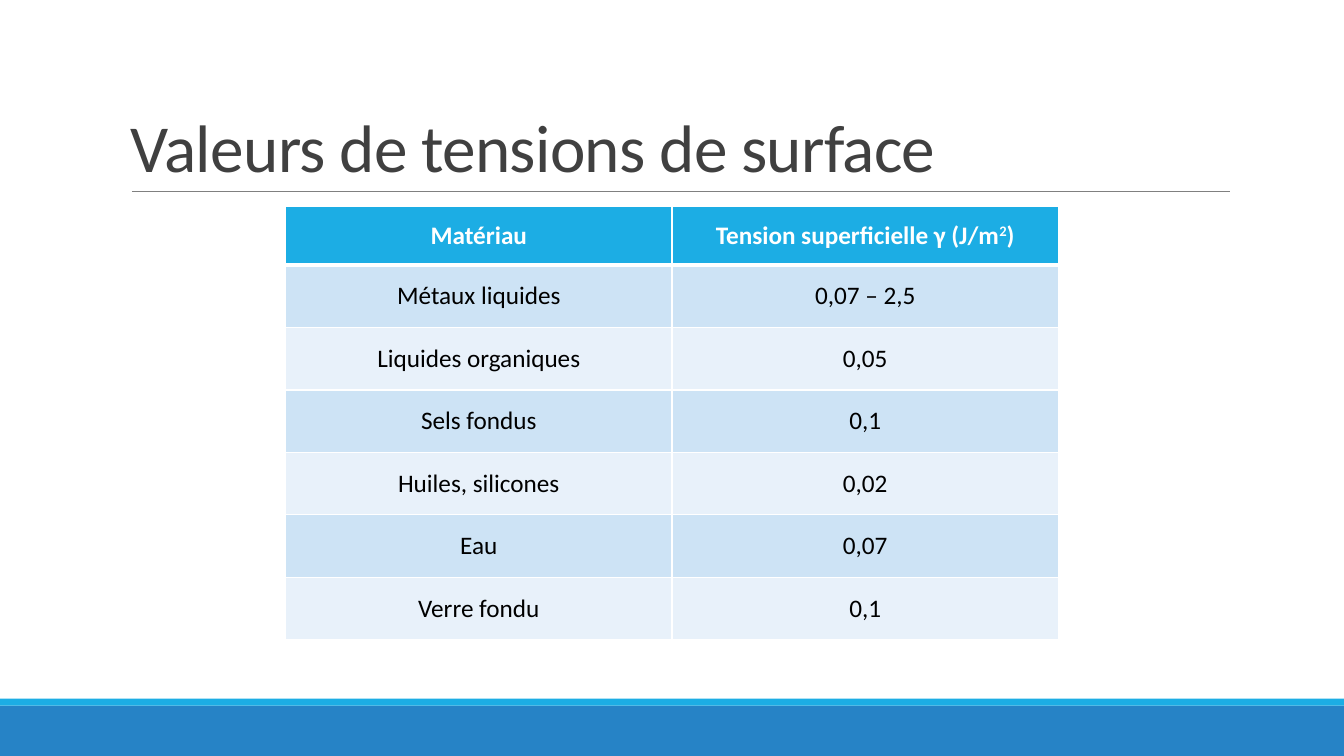
from dataclasses import dataclass

from pptx import Presentation
from pptx.dml.color import RGBColor
from pptx.enum.shapes import MSO_CONNECTOR, MSO_SHAPE
from pptx.enum.text import MSO_ANCHOR, PP_ALIGN
from pptx.oxml.ns import qn
from pptx.util import Inches, Pt
from lxml import etree

RECT = MSO_SHAPE.RECTANGLE
LINE = MSO_CONNECTOR.STRAIGHT
MIDDLE, BOTTOM = MSO_ANCHOR.MIDDLE, MSO_ANCHOR.BOTTOM
CENTER = PP_ALIGN.CENTER
WIDE, HIGH = Inches(13.33), Inches(7.5)


@dataclass(frozen=True)
class Theme:
    font: str = "Calibri"
    title: int = 48
    body: int = 18
    ink: str = "404040"
    text: str = "000000"
    white: str = "FFFFFF"
    rule: str = "808080"
    blue: str = "2683C6"
    sky: str = "1CADE4"
    bands: tuple = ("CDE3F5", "E8F1FA")


def rgb(code):
    return RGBColor.from_string(code)


def px(share):
    """Percent of the slide's width."""
    return round(WIDE * share / 100)


def py(share):
    """Percent of the slide's height."""
    return round(HIGH * share / 100)


def area(left, top, width, height):
    return px(left), py(top), px(width), py(height)


class Deck:
    def __init__(self, theme):
        self.theme = theme
        self.file = Presentation()
        self.file.slide_width, self.file.slide_height = WIDE, HIGH
        self.slide = self.file.slides.add_slide(self.file.slide_layouts[6])
        self.shapes = self.slide.shapes

    def label(self, para, text, size, color, bold=False):
        """Add a run and return it."""
        run = para.add_run()
        run.text = text
        style = {"name": self.theme.font, "size": Pt(size), "bold": bold}
        for key, value in style.items():
            setattr(run.font, key, value)
        run.font.color.rgb = rgb(color)
        return run

    def band(self, place, color):
        shape = self.shapes.add_shape(RECT, *area(*place))
        shape.shadow.inherit = False
        shape.fill.solid()
        shape.fill.fore_color.rgb = rgb(color)
        shape.line.fill.background()

    def rule(self, left, right, top):
        line = self.shapes.add_connector(LINE, px(left), py(top), px(right), py(top))
        line.line.color.rgb = rgb(self.theme.rule)
        line.line.width = Pt(0.5)
        etree.SubElement(line._element.spPr, qn("a:effectLst"))

    def title(self, place, text):
        frame = self.shapes.add_textbox(*area(*place)).text_frame
        for key, value in {"word_wrap": True, "vertical_anchor": BOTTOM}.items():
            setattr(frame, key, value)
        para = frame.paragraphs[0]
        para.line_spacing = 0.85
        run = self.label(para, text, self.theme.title, self.theme.ink)
        run.font._element.set("spc", "-50")

    def edges(self, cell, top, bottom):
        """Draw the four white borders; top and bottom are in points."""
        props = cell._tc.get_or_add_tcPr()
        for side, width in {"L": 1, "R": 1, "T": top, "B": bottom}.items():
            edge = etree.SubElement(props, qn(f"a:ln{side}"), w=str(Pt(width)))
            fill = etree.SubElement(edge, qn("a:solidFill"))
            etree.SubElement(fill, qn("a:srgbClr"), val=self.theme.white)

    def cell(self, cell, row, parts):
        """Fill a cell; every second part is superscript."""
        look = self.theme
        head = row == 0
        self.edges(cell, 3 if row == 1 else 1, 3 if head else 1)
        cell.fill.solid()
        cell.fill.fore_color.rgb = rgb(look.sky if head else look.bands[(row - 1) % 2])
        cell.vertical_anchor = MIDDLE
        para = cell.text_frame.paragraphs[0]
        para.alignment = CENTER
        for i, part in enumerate(parts):
            run = self.label(para, part, look.body, look.white if head else look.text, head)
            if i % 2:
                run.font._element.set("baseline", "30000")

    def table(self, place, first, rows):
        """Lay out rows: the first has its own height, the rest share what is left."""
        count = len(rows)
        grid = self.shapes.add_table(count, len(rows[0]), *area(*place)).table
        rest = (place[3] - first) / (count - 1)
        for r, row in enumerate(rows):
            grid.rows[r].height = py(rest if r else first)
            for c, parts in enumerate(row):
                self.cell(grid.cell(r, c), r, parts)


def main():
    theme = Theme()
    deck = Deck(theme)

    # Footer bands
    deck.band((0, 93.33, 100, 6.67), theme.blue)
    deck.band((0, 92.4, 100, 0.93), theme.sky)

    # Heading
    deck.rule(9.82, 91.55, 25.33)
    deck.title((9, 4.13, 82.5, 21.2), "Valeurs de tensions de surface")

    # Surface tension values
    head = [["Matériau"], ["Tension superficielle γ (J/m", "2", ")"]]
    values = {
        "Métaux liquides": "0,07 – 2,5",
        "Liquides organiques": "0,05",
        "Sels fondus": "0,1",
        "Huiles, silicones": "0,02",
        "Eau": "0,07",
        "Verre fondu": "0,1",
    }
    rows = [head] + [[[name], [value]] for name, value in values.items()]
    deck.table((21.25, 27.33, 57.5, 57.33), 7.73, rows)

    deck.file.save("out.pptx")


if __name__ == "__main__":
    main()
